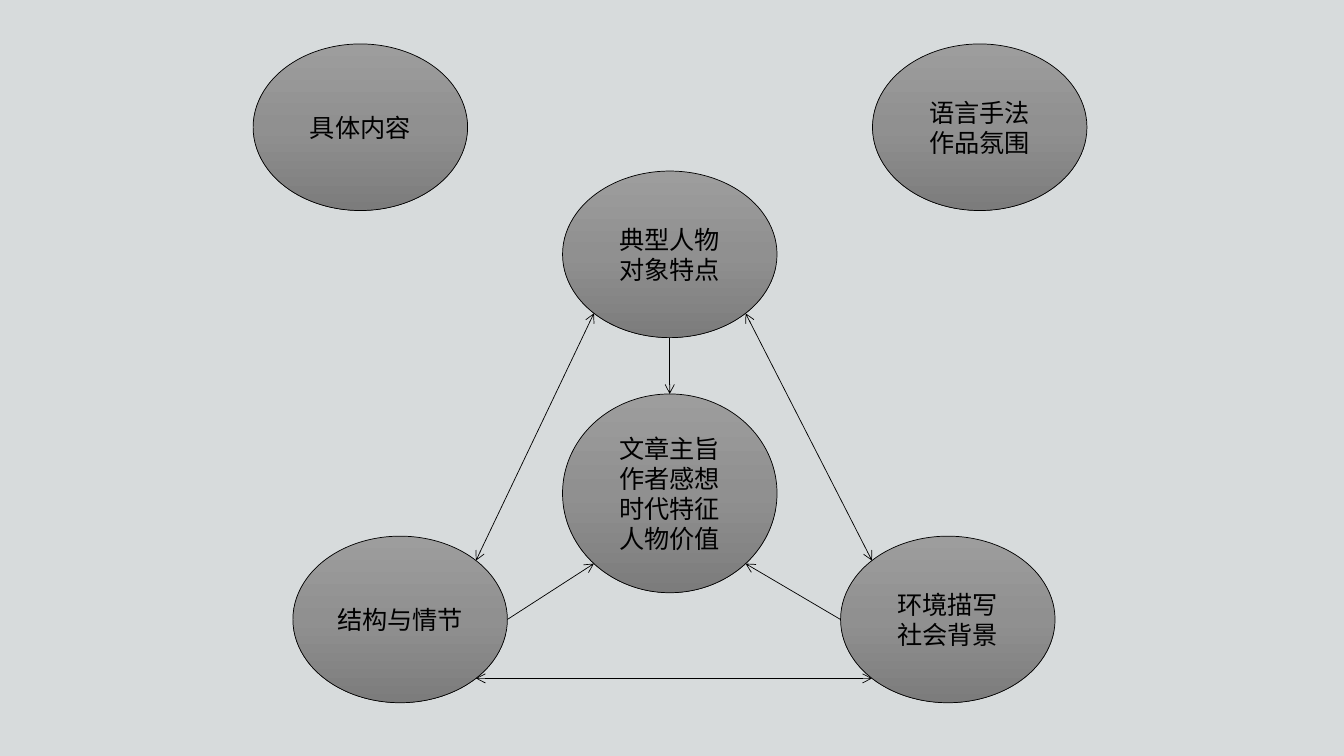
"""Build a slide relating the elements of a literary text to its theme."""
import copy
import math

import lxml.etree
import pptx
import pptx.dml.color
import pptx.enum.shapes
import pptx.enum.text
import pptx.oxml.ns
import pptx.util

Pt = pptx.util.Pt
qn = pptx.oxml.ns.qn

COLORS = {
    "background": "D7DBDC",
    "ink": "000000",
    "light": "9D9D9D",
    "middle": "909090",
    "dark": "7C7C7C",
}
LATIN_FONT = "Arial Narrow"
CHINESE_FONT = "Noto Sans CJK SC"
OVAL_WIDTH, OVAL_HEIGHT, THEME_HEIGHT = 153.2, 119, 142

OVALS = {
    "theme": (401.8, 281.4, ["文章主旨", "作者感想", "时代特征", "人物价值"]),
    "plot": (209.2, 383, ["结构与情节"]),
    "setting": (600.4, 383, ["环境描写", "社会背景"]),
    "character": (401.8, 122.2, ["典型人物", "对象特点"]),
    "language": (623.2, 31.4, ["语言手法", "作品氛围"]),
    "content": (180.8, 31.4, ["具体内容"]),
}

ANGLES = {
    "right": 0, "bottom right": 45, "bottom": 90, "bottom left": 135,
    "left": 180, "top left": 225, "top": 270, "top right": 315,
}

ARROWS = [
    ("setting", "left", "theme", "bottom right", False),
    ("plot", "right", "theme", "bottom left", False),
    ("character", "bottom", "theme", "top", False),
    ("character", "bottom left", "plot", "top right", True),
    ("character", "bottom right", "setting", "top left", True),
    ("setting", "bottom left", "plot", "bottom right", True),
]


def rgb(name):
    """Return the named colour."""
    return pptx.dml.color.RGBColor.from_string(COLORS[name])


def set_line(line):
    """Give an outline or connector the thin dark stroke."""
    line.color.rgb = rgb("ink")
    line.width = Pt(0.5)


def set_gradient(shape):
    """Fill a shape with the grey gradient, light at the top."""
    shape.fill.gradient()
    shape.fill.gradient_angle = 270
    stops = shape._element.spPr.find(qn("a:gradFill")).find(qn("a:gsLst"))
    stops.append(copy.deepcopy(stops[-1]))
    names = ("light", "middle", "dark")
    for stop, name, position in zip(shape.fill.gradient_stops, names, (0, 0.5, 1)):
        stop.color.rgb = rgb(name)
        stop.position = position


def set_text(shape, lines, font_name):
    """Write one centred paragraph for each line."""
    frame = shape.text_frame
    frame.word_wrap = True
    frame.vertical_anchor = pptx.enum.text.MSO_ANCHOR.MIDDLE
    frame.text = "\n".join(lines)
    for paragraph in frame.paragraphs:
        paragraph.alignment = pptx.enum.text.PP_ALIGN.CENTER
        font = paragraph.font
        font.size = Pt(18)
        font.color.rgb = rgb("ink")
        font.name = font_name
        properties = paragraph._p.pPr.find(qn("a:defRPr"))
        lxml.etree.SubElement(properties, qn("a:ea"), typeface=CHINESE_FONT)


def add_oval(slide, center, height, lines, font_name):
    """Add a labelled oval around a centre point."""
    shape = slide.shapes.add_shape(
        pptx.enum.shapes.MSO_SHAPE.OVAL,
        Pt(center[0]), Pt(center[1]), Pt(OVAL_WIDTH), Pt(height))
    shape.shadow.inherit = False
    set_gradient(shape)
    set_line(shape.line)
    set_text(shape, lines, font_name)
    return shape


def rim_point(shape, side):
    """Return the point on an oval's rim at the named side."""
    angle = math.radians(ANGLES[side])
    x = shape.left + shape.width / 2 * (1 + math.cos(angle))
    y = shape.top + shape.height / 2 * (1 + math.sin(angle))
    return round(x), round(y)


def add_arrow(slide, start, end, both_ends):
    """Add a straight arrow, pointing both ways if asked."""
    connector = slide.shapes.add_connector(
        pptx.enum.shapes.MSO_CONNECTOR.STRAIGHT, *start, *end)
    set_line(connector.line)
    stroke = connector.line._get_or_add_ln()
    for tag in ("a:headEnd", "a:tailEnd") if both_ends else ("a:tailEnd",):
        lxml.etree.SubElement(stroke, qn(tag), type="arrow")
    lxml.etree.SubElement(connector._element.spPr, qn("a:effectLst"))


def main():
    """Build and save the presentation."""
    presentation = pptx.Presentation()
    presentation.slide_width = Pt(960)
    presentation.slide_height = Pt(540)
    slide = presentation.slides.add_slide(presentation.slide_layouts[6])
    slide.background.fill.solid()
    slide.background.fill.fore_color.rgb = rgb("background")

    ovals = {}
    for name, (left, top, lines) in OVALS.items():
        height = THEME_HEIGHT if name == "theme" else OVAL_HEIGHT
        font_name = CHINESE_FONT if name == "character" else LATIN_FONT
        ovals[name] = add_oval(slide, (left, top), height, lines, font_name)

    for source, source_side, target, target_side, both_ends in ARROWS:
        start = rim_point(ovals[source], source_side)
        end = rim_point(ovals[target], target_side)
        add_arrow(slide, start, end, both_ends)

    presentation.save("out.pptx")


if __name__ == "__main__":
    main()
